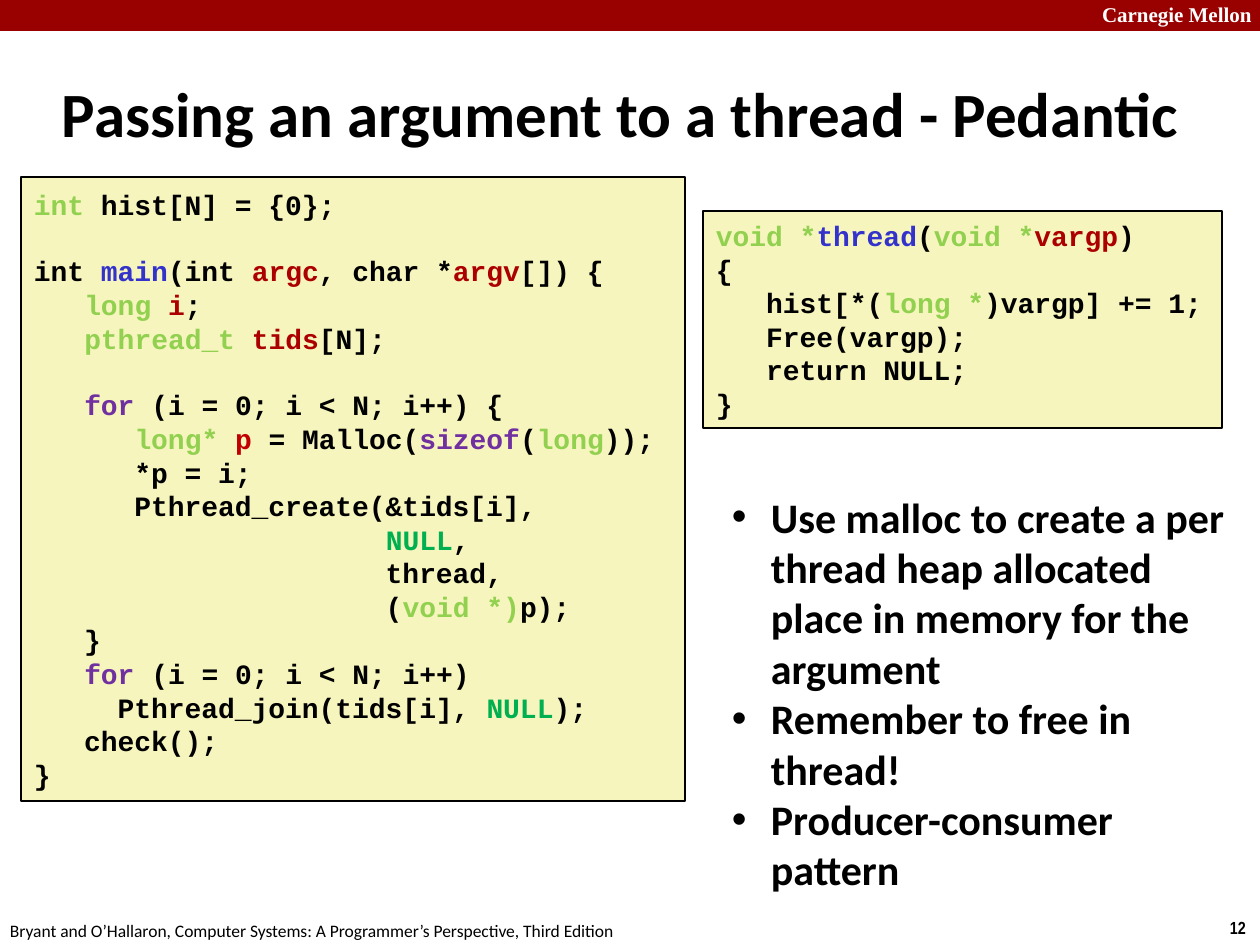
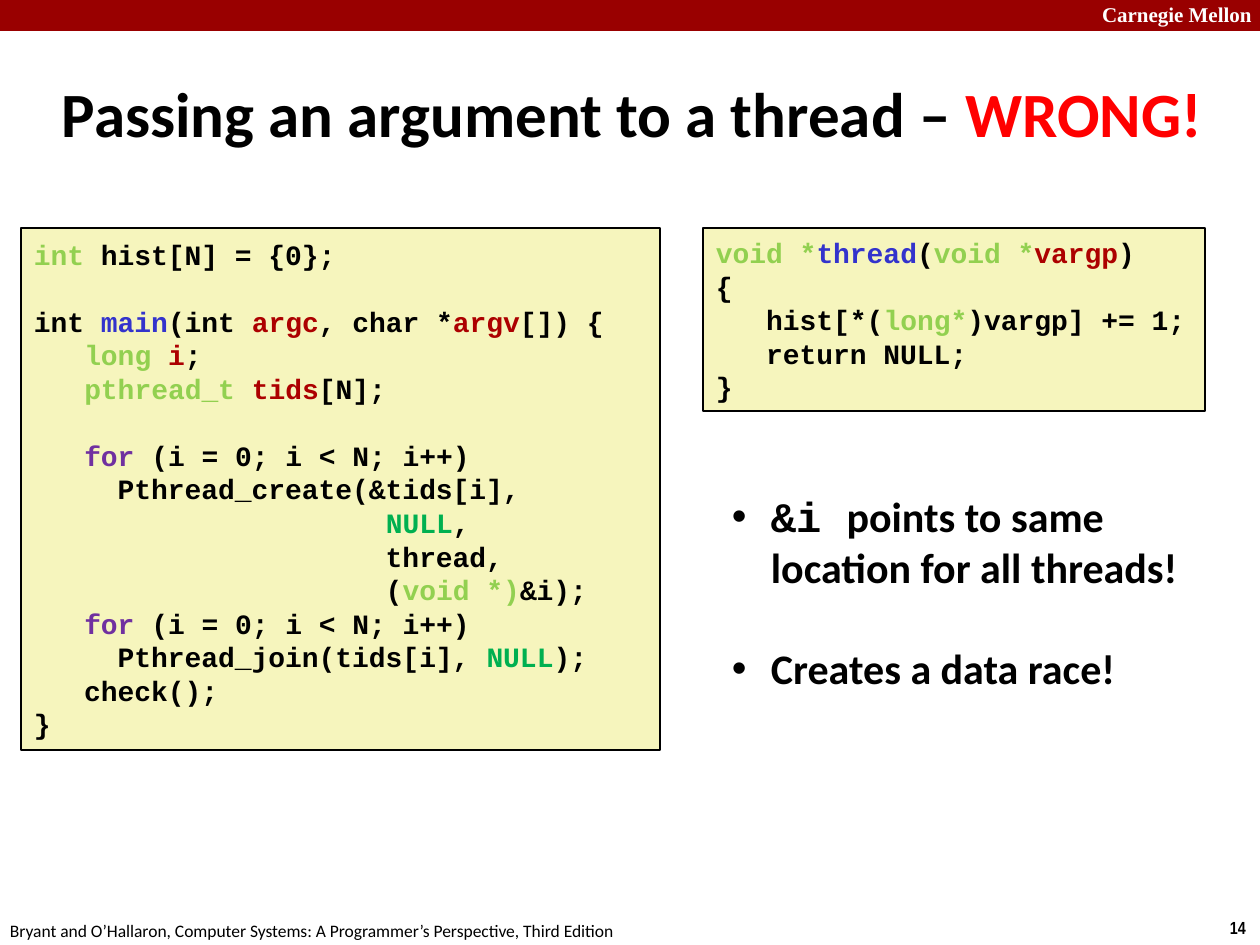
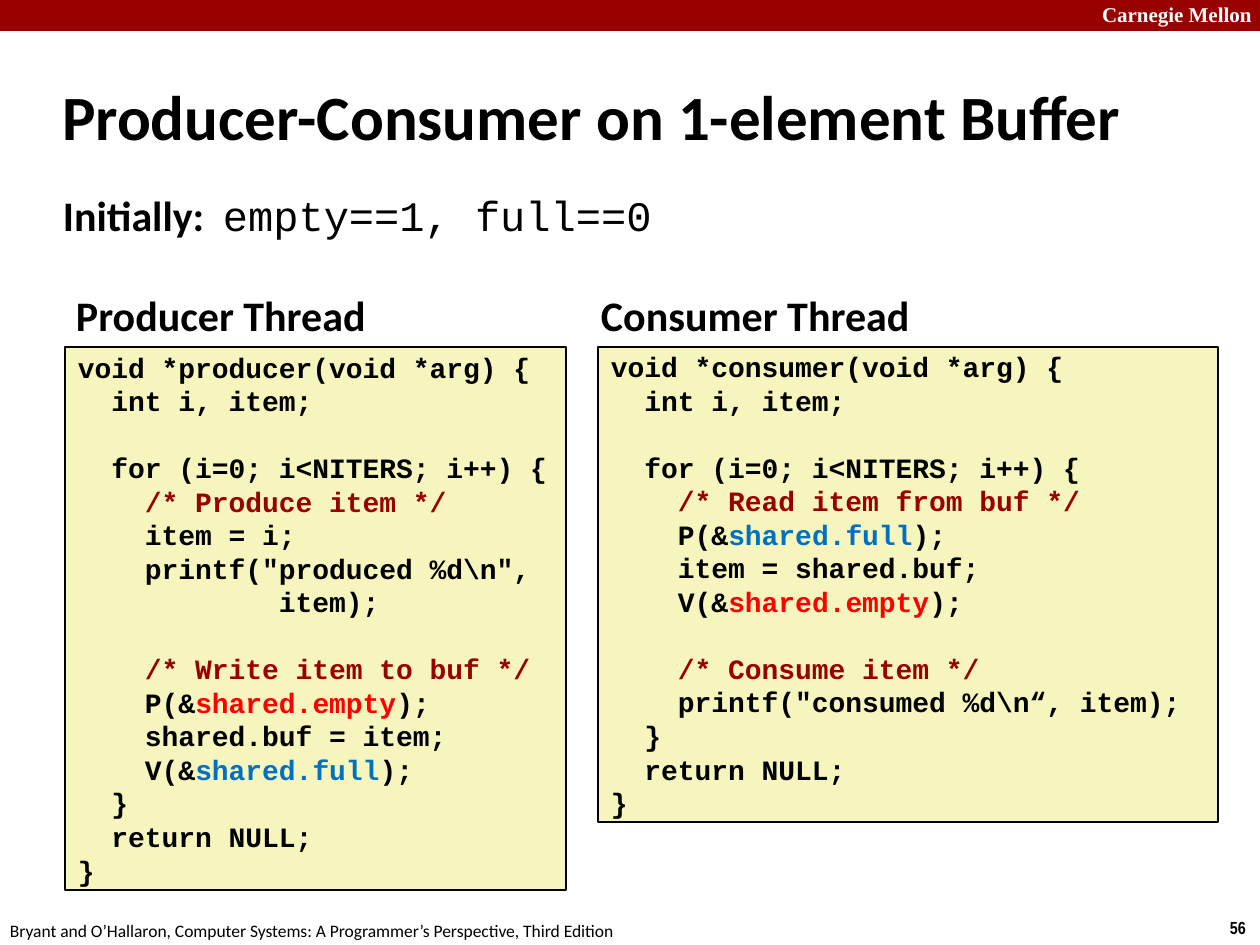
from lxml import etree
from pptx import Presentation
from pptx.dml.color import RGBColor
from pptx.enum.shapes import MSO_SHAPE
from pptx.enum.text import MSO_ANCHOR, MSO_AUTO_SIZE, PP_ALIGN
from pptx.oxml.ns import qn
from pptx.util import Emu, Pt

RECT = MSO_SHAPE.RECTANGLE
TOP, MIDDLE = MSO_ANCHOR.TOP, MSO_ANCHOR.MIDDLE
LEFT = PP_ALIGN.LEFT
GROW = MSO_AUTO_SIZE.SHAPE_TO_FIT_TEXT
NO_FIT = MSO_AUTO_SIZE.NONE

# Colours
BLACK = RGBColor(0x00, 0x00, 0x00)
WHITE = RGBColor(0xFF, 0xFF, 0xFF)
CRIMSON = RGBColor(0x99, 0x00, 0x00)
CREAM = RGBColor(0xF6, 0xF5, 0xBD)
LIME = RGBColor(0x92, 0xD0, 0x50)
INDIGO = RGBColor(0x33, 0x33, 0xCC)
DARK_RED = RGBColor(0xAC, 0x00, 0x00)
POINTER_RED = RGBColor(0xC0, 0x00, 0x00)
PURPLE = RGBColor(0x70, 0x30, 0xA0)
GREEN = RGBColor(0x00, 0xB0, 0x50)
RED = RGBColor(0xFF, 0x00, 0x00)
BLUE = RGBColor(0x00, 0x70, 0xC0)

# Fonts
SANS, MONO = "Calibri", "Courier New"
SERIF, NARROW = "Times New Roman", "Arial Narrow"

# Spans are written as |name:text| inside any line
SPANS = {
    "type": dict(color=LIME),
    "func": dict(color=INDIGO),
    "var": dict(color=DARK_RED),
    "ptr": dict(color=POINTER_RED),
    "key": dict(color=PURPLE),
    "null": dict(color=GREEN),
    "note": dict(color=CRIMSON),
    "alert": dict(color=RED),
    "full": dict(color=BLUE),
    "mono": dict(font=MONO),
    "state": dict(font=MONO, bold=False),
}

PX_PER_INCH = 126
FOOTER = ("Bryant and O’Hallaron, Computer Systems: "
          "A Programmer’s Perspective, Third Edition")


def px(n):
    return Emu(round(n * 914400 / PX_PER_INCH))


def add_run(p, text, size=24, font=SANS, color=BLACK, bold=True):
    r = p.add_run()
    r.text = text
    r.font.size = Pt(size)
    r.font.name = font
    r.font.bold = bold
    r.font.color.rgb = color


def add_rich(p, text, **fmt):
    for i, part in enumerate(text.split("|")):
        if i % 2:
            name, _, span = part.partition(":")
            add_run(p, span, **{**fmt, **SPANS[name]})
        elif part:
            add_run(p, part, **fmt)


class Deck:
    def __init__(self):
        self.prs = Presentation()
        self.prs.slide_width, self.prs.slide_height = px(1260), px(945)
        self.s = None

    def slide(self, title, number, title_top=60, title_width=1195):
        self.s = self.prs.slides.add_slide(self.prs.slide_layouts[6])
        self.rect(0, 0, 1260, 31, CRIMSON)
        self.text(1089, -4, 180, 38, "Carnegie Mellon", wrap=True,
                  size=12, font=SERIF, color=WHITE)
        self.text(1217, 911, 43, 34, str(number), size=10, font=NARROW)
        self.text(-3, 914, 640, 34, FOOTER, size=10, bold=False)
        self.text(49, title_top, title_width, 105, title, wrap=True,
                  anchor=MIDDLE, fit=NO_FIT, size=36)

    def rect(self, x, y, w, h, fill):
        sp = self.s.shapes.add_shape(RECT, px(x), px(y), px(w), px(h))
        sp.shadow.inherit = False
        sp.fill.solid()
        sp.fill.fore_color.rgb = fill
        sp.line.fill.background()
        return sp

    def frame(self, sp, wrap, anchor, fit=GROW, pad=6):
        tf = sp.text_frame
        tf.word_wrap = wrap
        tf.auto_size = fit
        tf.vertical_anchor = anchor
        tf.margin_left = tf.margin_right = px(13)
        tf.margin_top = tf.margin_bottom = px(pad)
        return tf

    def box(self, x, y, w, h, wrap, anchor, fit=GROW, pad=6):
        sp = self.s.shapes.add_textbox(px(x), px(y), px(w), px(h))
        return self.frame(sp, wrap, anchor, fit, pad)

    def text(self, x, y, w, h, text, wrap=False, anchor=TOP, fit=GROW,
             pad=6, tab=None, **fmt):
        p = self.box(x, y, w, h, wrap, anchor, fit, pad).paragraphs[0]
        if tab:
            tabs = etree.SubElement(p._p.get_or_add_pPr(), qn("a:tabLst"))
            etree.SubElement(tabs, qn("a:tab"), pos=str(px(tab)), algn="l")
        add_rich(p, text, **fmt)

    def code(self, x, y, w, h, lines, wrap=True, pad=6):
        sp = self.rect(x, y, w, h, CREAM)
        sp.line.color.rgb = BLACK
        sp.line.width = Pt(1)
        tf = self.frame(sp, wrap, MIDDLE, pad=pad)
        p, gap = tf.paragraphs[0], False
        for i, line in enumerate(lines):
            if not line:  # an empty code line becomes space before the next
                gap = True
                continue
            if i:
                p = tf.add_paragraph()
            p.alignment = LEFT
            if gap:
                p.space_before = Pt(19)
                gap = False
            add_rich(p, line, size=16, font=MONO)

    def bullets(self, x, y, w, h, items, gap=0):
        tf = self.box(x, y, w, h, True, TOP)
        for i, item in enumerate(items):
            p = tf.add_paragraph() if i else tf.paragraphs[0]
            if i and gap:
                p.space_before = Pt(gap)
            pPr = p._p.get_or_add_pPr()
            pPr.set("marL", str(px(39)))
            pPr.set("indent", str(-px(39)))
            etree.SubElement(pPr, qn("a:buFont"), typeface="Arial")
            etree.SubElement(pPr, qn("a:buChar"), char="•")
            add_rich(p, item)


# Code shared by the two argument-passing slides
MAIN_HEAD = [
    "|type:int |hist[N] = {0};",
    "",
    "int |func:main|(int |var:argc|, char *|var:argv|[]) {",
    "   |type:long ||var:i|;",
    "   |type:pthread_t ||var:tids|[N];",
    "",
]
FOR_LOOP = "   |key:for| (i = 0; i < N; i++)"
CREATE_ARGS = [
    "                     |null:NULL|,",
    "                     thread,",
]
MAIN_TAIL = [
    FOR_LOOP,
    "     Pthread_join(tids[i], |null:NULL|);",
    "   check();",
    "}",
]
THREAD_HEAD = ["|type:void *||func:thread|(|type:void *||var:vargp|)", "{"]
THREAD_TAIL = ["   return NULL;", "}"]

MALLOC_MAIN = MAIN_HEAD + [
    FOR_LOOP + " {",
    "      |type:long* ||ptr:p| = Malloc(|key:sizeof|(|type:long|));",
    "      *p = i;",
    "      Pthread_create(&tids[i],",
    *CREATE_ARGS,
    "                     (|type:void *)|p);",
    "   }",
] + MAIN_TAIL
MALLOC_THREAD = THREAD_HEAD + [
    "   hist[*(|type:long *|)vargp] += 1;",
    "   Free(vargp);",
] + THREAD_TAIL

WRONG_MAIN = MAIN_HEAD + [
    FOR_LOOP,
    "     Pthread_create(&tids[i],",
    *CREATE_ARGS,
    "                     (|type:void *)|&i);",
] + MAIN_TAIL
WRONG_THREAD = THREAD_HEAD + [
    "   hist[*(|type:long*|)vargp] += 1;",
] + THREAD_TAIL

# Code of the producer and the consumer
THREAD_START = ["  int i, item;", "", "  for (i=0; i<NITERS; i++) {"]
THREAD_END = ["  }", "  return NULL;", "}"]
PRODUCER = ["void *producer(void *arg) {", *THREAD_START] + [
    "    |note:/* Produce item */|",
    "    item = i;",
    r'    printf("produced %d\n",',
    "            item);",
    "",
    "    |note:/* Write item to buf */|",
    "    P(&|alert:shared.empty|);",
    "    shared.buf = item;",
    "    V(&|full:shared.full|);",
] + THREAD_END
CONSUMER = ["void *consumer(void *arg) {", *THREAD_START] + [
    "    |note:/* Read item from buf */|",
    "    P(&|full:shared.full|);",
    "    item = shared.buf;",
    "    V(&|alert:shared.empty|);",
    "",
    "    |note:/* Consume item */|",
    r'    printf("consumed %d\n“, item);',
] + THREAD_END


def main():
    d = Deck()

    # Argument on the heap
    d.slide("Passing an argument to a thread - Pedantic", 12)
    d.code(21, 177, 664, 624, MALLOC_MAIN)
    d.code(703, 211, 519, 217, MALLOC_THREAD, wrap=False)
    d.bullets(719, 485, 541, 420, [
        "Use malloc to create a per thread heap allocated place in memory "
        "for the argument",
        "Remember to free in thread!",
        "Producer-consumer pattern",
    ])

    # Argument shared by mistake
    d.slide("Passing an argument to a thread – |alert:WRONG!|", 14)
    d.code(21, 228, 639, 522, WRONG_MAIN)
    d.code(703, 228, 502, 183, WRONG_THREAD, wrap=False)
    d.bullets(719, 485, 541, 217, [
        "|mono:&i |points to same location for all threads!",
        "Creates a data race!",
    ], gap=29)

    # Producer and consumer
    d.slide("Producer-Consumer on 1-element Buffer", 56,
            title_top=63, title_width=1138)
    d.code(65, 347, 501, 543, PRODUCER, wrap=False, pad=0)
    d.code(598, 347, 620, 475, CONSUMER, pad=0)
    d.text(50, 190, 620, 50, "Initially:\t|state:empty==1, full==0|",
           anchor=MIDDLE, pad=0, tab=160)
    d.text(63, 284, 318, 63, "Producer Thread")
    d.text(588, 284, 336, 63, "Consumer Thread")

    d.prs.save("out.pptx")


if __name__ == "__main__":
    main()
